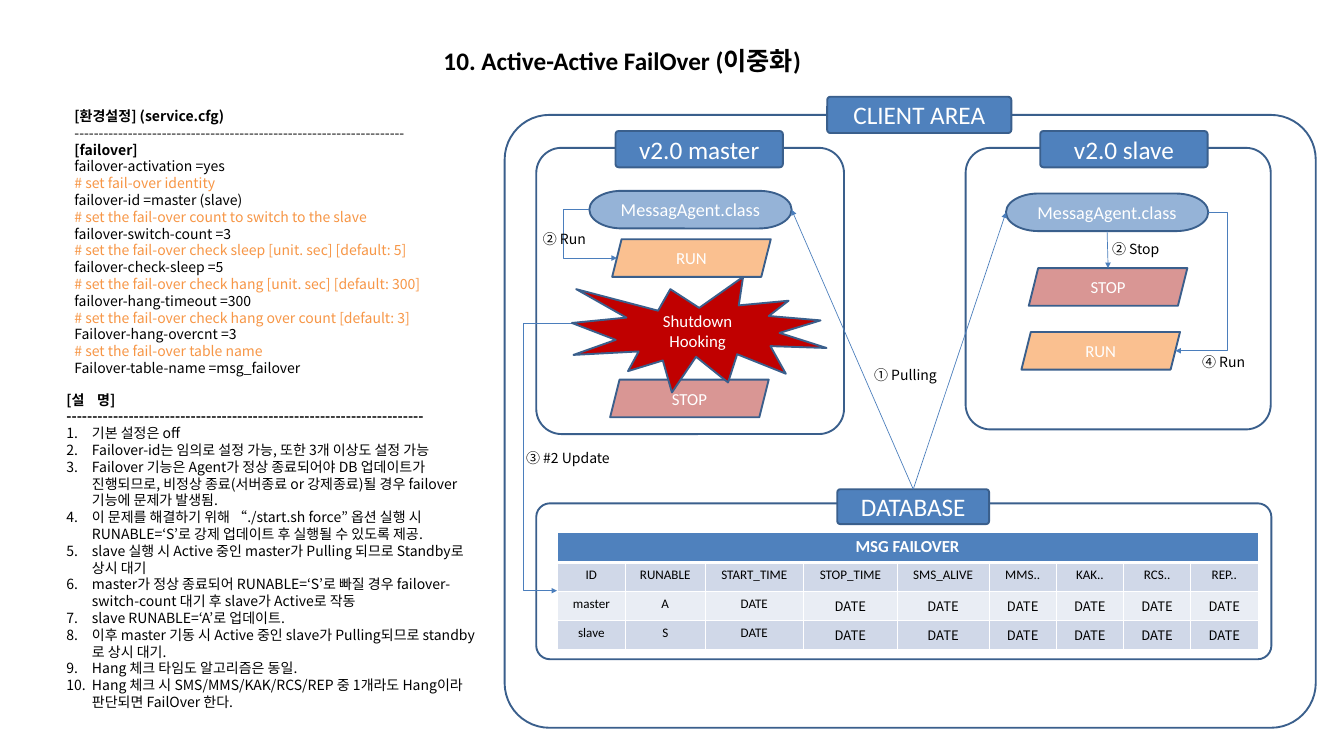
from dataclasses import dataclass
from typing import Any

from pptx import Presentation
from pptx.dml.color import RGBColor
from pptx.enum.shapes import MSO_CONNECTOR, MSO_SHAPE
from pptx.enum.text import MSO_ANCHOR, PP_ALIGN
from pptx.oxml.ns import qn
from pptx.util import Inches, Pt
from lxml import etree

ROUND = MSO_SHAPE.ROUNDED_RECTANGLE
TERMINATOR = MSO_SHAPE.FLOWCHART_TERMINATOR
PARALLELOGRAM = MSO_SHAPE.PARALLELOGRAM
SEAL = MSO_SHAPE.EXPLOSION1
STRAIGHT, ELBOW = MSO_CONNECTOR.STRAIGHT, MSO_CONNECTOR.ELBOW
LEFT, CENTER = PP_ALIGN.LEFT, PP_ALIGN.CENTER
TOP, MIDDLE = MSO_ANCHOR.TOP, MSO_ANCHOR.MIDDLE
LATIN, KOREAN = "Calibri", "Noto Sans CJK KR"
COLORS = {
    "black": "000000", "white": "FFFFFF", "blue": "4F81BD", "outline": "3A5F8C",
    "arrow": "4B7EBC", "agent": "95B3D7", "run": "FAC090", "stop": "D99694",
    "alert": "C00000", "comment": "F79646", "band": "D0D8E8", "light": "E9EDF4",
}


@dataclass
class Box:
    x: float
    y: float
    w: float
    h: float
    lines: tuple[str, ...] = ()
    kind: Any = ROUND
    fill: str = ""
    size: float = 18
    adj: float = 0.088


def rgb(name: str) -> RGBColor:
    return RGBColor.from_string(COLORS[name])


def add_run(p: Any, text: str, size: float, font: str = LATIN,
            color: str = "black", bold: bool = False) -> Any:
    r = p.add_run()
    r.text = text
    r.font.size = Pt(size)
    r.font.bold = bold
    r.font.color.rgb = rgb(color)
    r.font.name = font
    r.font._element.find(qn("a:latin")).addnext(
        etree.Element(qn("a:ea"), typeface=KOREAN))
    return r


def add_paragraph(tf: Any, index: int, align: Any = LEFT) -> Any:
    p = tf.add_paragraph() if index else tf.paragraphs[0]
    p.alignment = align
    return p


def add_box(s: Any, box: Box) -> Any:
    sp = s.shapes.add_shape(box.kind, *map(Inches, (box.x, box.y, box.w, box.h)))
    sp.shadow.inherit = False
    if box.kind == ROUND:
        sp.adjustments[0] = box.adj
    if box.fill:
        sp.fill.solid()
        sp.fill.fore_color.rgb = rgb(box.fill)
    else:
        sp.fill.background()
    sp.line.color.rgb = rgb("outline")
    sp.line.width = Pt(2)
    tf = sp.text_frame
    tf.vertical_anchor = MIDDLE
    for i, line in enumerate(box.lines):
        add_run(add_paragraph(tf, i, CENTER), line, box.size, color="white")
    return sp


def add_text_frame(s: Any, x: float, y: float, w: float, h: float, anchor: Any = MIDDLE) -> Any:
    tf = s.shapes.add_textbox(*map(Inches, (x, y, w, h))).text_frame
    tf.word_wrap = True
    tf.vertical_anchor = anchor
    return tf


def add_arrow(s: Any, start: tuple[float, float], end: tuple[float, float],
              bend_x: float | None = None) -> Any:
    kind = STRAIGHT if bend_x is None else ELBOW
    cx = s.shapes.add_connector(kind, *map(Inches, (*start, *end)))
    cx.line.color.rgb = rgb("arrow")
    cx.line.width = Pt(0.75)
    etree.SubElement(cx.line._get_or_add_ln(), qn("a:tailEnd"), type="triangle")
    sppr = cx._element.spPr
    etree.SubElement(sppr, qn("a:effectLst"))
    if bend_x is not None:
        adj = round((bend_x - start[0]) / (end[0] - start[0]) * 100000)
        guides = sppr.find(qn("a:prstGeom")).get_or_add_avLst()
        etree.SubElement(guides, qn("a:gd"), name="adj1", fmla=f"val {adj}")
    return cx


def style_cell(cell: Any, fill: str, bottom: float) -> None:
    cell.margin_left = cell.margin_right = Inches(0.15)
    cell.margin_top = cell.margin_bottom = Inches(0.07)
    tcpr = cell._tc.get_or_add_tcPr()
    for side, width in (("L", 1), ("R", 1), ("T", 1), ("B", bottom)):
        ln = etree.SubElement(tcpr, qn(f"a:ln{side}"), w=str(Pt(width)))
        solid = etree.SubElement(ln, qn("a:solidFill"))
        etree.SubElement(solid, qn("a:srgbClr"), val=COLORS["white"])
    cell.fill.solid()
    cell.fill.fore_color.rgb = rgb(fill)


def add_failover_table(s: Any) -> None:
    widths = [1.02, 1.18, 1.47, 1.39, 1.37, 1, 1, 1, 1]
    rows = [
        ["ID", "RUNABLE", "START_TIME", "STOP_TIME", "SMS_ALIVE", "MMS..", "KAK..", "RCS..", "REP.."],
        ["master", "A"] + ["DATE"] * 7,
        ["slave", "S"] + ["DATE"] * 7,
    ]
    table = s.shapes.add_table(4, 9, *map(Inches, (8.29, 7.92, 10.42, 1.74))).table
    for col, width in zip(table.columns, widths):
        col.width = Inches(width)
    for i, row in enumerate(table.rows):
        row.height = Inches(0.43 if i else 0.45)
        for cell in row.cells:
            style_cell(cell, ("blue", "band", "light", "band")[i], 1 if i else 3)
    title = table.cell(0, 0)
    title.merge(table.cell(0, 8))
    add_run(add_paragraph(title.text_frame, 0, CENTER), "MSG FAILOVER", 18, color="white", bold=True)
    for i, values in enumerate(rows, 1):
        for j, value in enumerate(values):
            font = KOREAN if i > 1 and j > 2 else LATIN
            add_run(add_paragraph(table.cell(i, j).text_frame, 0, CENTER), value, 14, font)


def add_config(s: Any) -> None:
    lines = [
        "[환경설정] (service.cfg)", "-" * 68, "[failover]", "failover-activation =yes",
        "# set fail-over identity", "failover-id =master (slave)",
        "# set the fail-over count to switch to the slave", "failover-switch-count =3",
        "# set the fail-over check sleep [unit. sec] [default: 5]", "failover-check-sleep =5",
        "# set the fail-over check hang [unit. sec] [default: 300]", "failover-hang-timeout =300",
        "# set the fail-over check hang over count [default: 3]", "Failover-hang-overcnt =3",
        "# set the fail-over table name", "Failover-table-name =msg_failover",
    ]
    tf = add_text_frame(s, 1.01, 1.6, 6.73, 4, TOP)
    tf.margin_top = tf.margin_bottom = 0
    for i, line in enumerate(lines):
        p = add_paragraph(tf, i)
        p.line_spacing = Pt(18)
        color = "comment" if line.startswith("#") else "black"
        add_run(p, line, 15, KOREAN, color, line.startswith("["))


def add_description(s: Any) -> None:
    items = [
        "기본 설정은 off",
        "Failover-id는 임의로 설정 가능, 또한 3개 이상도 설정 가능",
        "Failover 기능은 Agent가 정상 종료되어야 DB 업데이트가 진행되므로, 비정상 종료(서버종료 or 강제종료)될 경우 failover 기능에 문제가 발생됨.",
        "이 문제를 해결하기 위해 “./start.sh force” 옵션 실행 시 RUNABLE=‘S’로 강제 업데이트 후 실행될 수 있도록 제공.",
        "slave 실행 시 Active 중인 master가 Pulling 되므로 Standby로 상시 대기",
        "master가 정상 종료되어 RUNABLE=‘S’로 빠질 경우 failover-switch-count 대기 후 slave가 Active로 작동",
        "slave RUNABLE=‘A’로 업데이트.",
        "이후 master 기동 시 Active 중인 slave가 Pulling되므로 standby로 상시 대기.",
        "Hang 체크 타임도 알고리즘은 동일.",
        "Hang 체크 시 SMS/MMS/KAK/RCS/REP 중 1개라도 Hang이라 판단되면 FailOver 한다.",
    ]
    tf = add_text_frame(s, 0.89, 5.82, 6.29, 5.01, TOP)
    tf.margin_top = tf.margin_bottom = 0
    heading = add_paragraph(tf, 0)
    for text in ("[설", " ", "명]"):
        r = add_run(heading, text, 15, KOREAN, bold=True)
        if text == " ":
            r.font._element.set("spc", "1000")
    add_run(add_paragraph(tf, 1), "-" * 69, 15, KOREAN, bold=True)
    for i, item in enumerate(items, 2):
        p = add_paragraph(tf, i)
        ppr = p._p.get_or_add_pPr()
        ppr.set("marL", str(Inches(0.38)))
        ppr.set("indent", str(Inches(-0.38)))
        etree.SubElement(ppr, qn("a:buAutoNum"), type="arabicPeriod")
        add_run(p, item, 15, KOREAN)
    for p in tf.paragraphs:
        p.line_spacing = Pt(18)


def main() -> None:
    prs = Presentation()
    prs.slide_width, prs.slide_height = Inches(20), Inches(11.25)
    s = prs.slides.add_slide(prs.slide_layouts[6])

    title = add_text_frame(s, 5.06, 0.5, 8.4, 0.79)
    add_run(add_paragraph(title, 0, CENTER), "10. Active-Active FailOver (이중화)", 27, bold=True)
    add_config(s)
    add_description(s)

    for box in (
        Box(7.51, 1.71, 12.07, 9.12, adj=0.073),
        Box(12.31, 1.44, 2.74, 0.54, ("CLIENT AREA",), fill="blue", size=27),
        Box(7.98, 2.2, 4.58, 4.26),
        Box(9.16, 1.95, 2.49, 0.54, ("v2.0 master",), fill="blue", size=27),
        Box(14.37, 2.2, 4.54, 4.19),
        Box(15.48, 1.95, 2.49, 0.54, ("v2.0 slave",), fill="blue", size=27),
        Box(7.98, 7.49, 10.94, 2.32),
    ):
        add_box(s, box)
    database = add_box(s, Box(12.46, 7.28, 2.26, 0.52, ("DATABASE",), fill="blue", size=27))
    add_failover_table(s)

    master, slave = (
        add_box(s, Box(x, y, 3.01, 0.56, ("MessagAgent.class",), TERMINATOR, "agent", 19.5))
        for x, y in ((8.77, 2.84), (14.97, 2.88)))
    for x, y, state in ((9.11, 3.56, "RUN"), (9.08, 5.65, "STOP"),
                        (15.31, 3.99, "STOP"), (15.2, 4.94, "RUN")):
        add_box(s, Box(x, y, 2.36, 0.56, (state,), PARALLELOGRAM, state.lower()))

    for agent, end, site in ((master, (11.78, 3.12), 3), (slave, (14.97, 3.16), 1)):
        pulling = add_arrow(s, (13.59, 7.28), end)
        pulling.begin_connect(database, 0)
        pulling.end_connect(agent, site)
    add_arrow(s, (16.48, 3.44), (16.49, 3.99)).begin_connect(slave, 2)
    add_arrow(s, (8.77, 3.12), (9.18, 3.84), 8.39)
    add_arrow(s, (8.51, 4.81), (8.29, 8.79), 7.79)
    add_arrow(s, (17.98, 3.16), (17.49, 5.22), 18.26)
    add_box(s, Box(8.51, 4.12, 3.79, 1.72, ("Shutdown", "Hooking"), SEAL, "alert"))

    for x, y, w, text in ((12.91, 5.34, 1.43, "① Pulling"), (7.98, 3.32, 1.35, "② Run"),
                          (16.45, 3.47, 1.35, "② Stop"), (7.73, 6.57, 1.67, "③ #2 Update"),
                          (17.79, 5.14, 1.43, "④ Run")):
        add_run(add_paragraph(add_text_frame(s, x, y, w, 0.48), 0), text, 15, KOREAN)
    prs.save("out.pptx")


if __name__ == "__main__":
    main()
